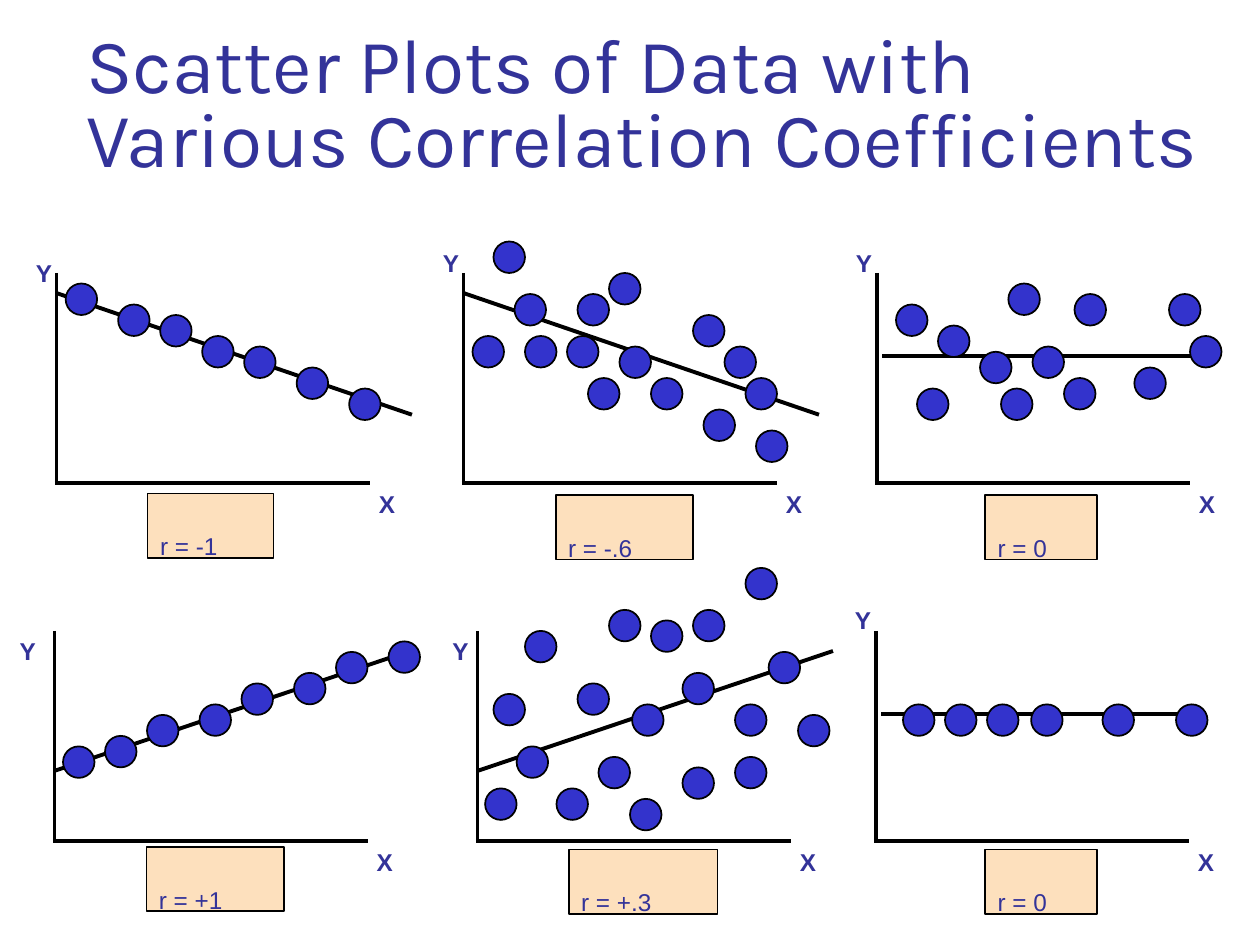
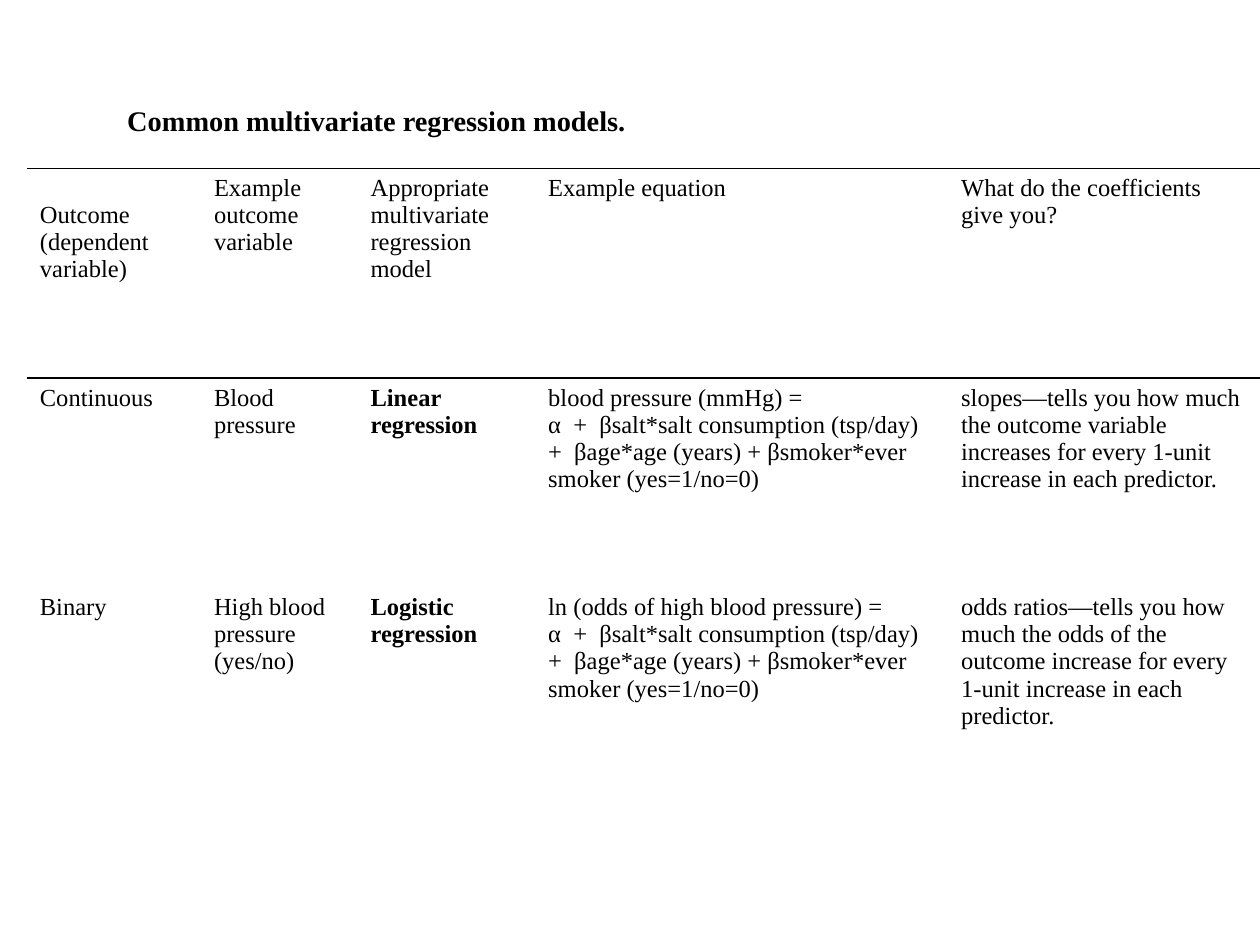
from pptx import Presentation
from pptx import util as u
from pptx.dml.color import RGBColor
from pptx.enum import shapes, text
from pptx.oxml.ns import qn
from lxml import etree

Pt = u.Pt
CELL = 6        # grid step for the dots
AXIS_H = 120
AXIS_W = 180
PLAIN_TABLE = "{2D5ABB26-0587-4C30-8999-92F81FD0307C}"


def color(value):
    return RGBColor.from_string(value)


class Deck:
    INK, NAVY, DOT, PEACH = "000000", "333399", "3333CC", "FDE0BD"
    SANS, SERIF, DISPLAY = "Arial", "Times New Roman", "Karla"

    def __init__(self):
        self.prs = Presentation()
        self.prs.slide_width, self.prs.slide_height = Pt(720), Pt(540)
        self.s = None

    def new_slide(self):
        self.s = self.prs.slides.add_slide(self.prs.slide_layouts[5])

    def style_text(self, tf, size, font, ink, bold=False, lowered=False):
        for p in tf.paragraphs:
            p.alignment = text.PP_ALIGN.LEFT
            for r in p.runs:
                r.font.size, r.font.name, r.font.bold = Pt(size), font, bold
                r.font.color.rgb = color(ink)
                if lowered:
                    r.font._element.set("baseline", "-33000")

    def title(self, words, box, anchor, **style):
        sp = self.s.shapes.title
        sp.left, sp.top, sp.width, sp.height = map(Pt, box)
        tf = sp.text_frame
        tf.text = words
        tf.auto_size = text.MSO_AUTO_SIZE.NONE
        tf.vertical_anchor = anchor
        self.style_text(tf, **style)
        return tf

    def line(self, x1, y1, x2, y2, width=2):
        c = self.s.shapes.add_connector(shapes.MSO_CONNECTOR.STRAIGHT,
                                        Pt(x1), Pt(y1), Pt(x2), Pt(y2))
        c.line.color.rgb = color(self.INK)
        c.line.width = Pt(width)
        etree.SubElement(c._element.spPr, qn("a:effectLst"))

    def shape(self, kind, x, y, w, h, fill):
        sp = self.s.shapes.add_shape(kind, Pt(x), Pt(y), Pt(w), Pt(h))
        sp.shadow.inherit = False
        sp.fill.solid()
        sp.fill.fore_color.rgb = color(fill)
        sp.line.color.rgb = color(self.INK)
        sp.line.width = Pt(1)
        return sp

    def dot(self, x, y):
        self.shape(shapes.MSO_SHAPE.OVAL, x, y, 18, 18, self.DOT)

    def label(self, sp, words, bold=False):
        tf = sp.text_frame
        tf.text = words
        tf.word_wrap = False
        tf.vertical_anchor = text.MSO_ANCHOR.TOP
        self.style_text(tf, 24, self.SANS, self.NAVY, bold, lowered=True)

    def axis_label(self, words, x, y):
        self.label(self.s.shapes.add_textbox(Pt(x), Pt(y), Pt(30), Pt(36)), words, bold=True)

    def value_box(self, words, x, y, w):
        self.label(self.shape(shapes.MSO_SHAPE.RECTANGLE, x, y, w, 36.7, self.PEACH), words)

    def plot(self, x, y, trend, y_label, box, dots_x, dots):
        # Axes and trend line
        self.line(x, y, x, y + AXIS_H)
        self.line(x - 1, y + AXIS_H, x - 1 + AXIS_W, y + AXIS_H)
        x1, y1, x2, y2, width = trend
        self.line(x + x1, y + y1, x + x2, y + y2, width)
        # Data, labels and coefficient
        for col, row in dots:
            self.dot(dots_x + col * CELL, y + row * CELL)
        self.axis_label("Y", x + y_label[0], y + y_label[1])
        self.axis_label("X", x + 177, y + 102)
        words, dx, dy, w = box
        self.value_box(words, x + dx, y + dy, w)

    def borders(self, cell, top, bottom):
        tcPr = cell._tc.get_or_add_tcPr()
        for i, (side, shown) in enumerate((("L", False), ("R", False), ("T", top), ("B", bottom))):
            ln = etree.Element(qn("a:ln" + side), w=str(Pt(1)))
            if shown:
                fill = etree.SubElement(ln, qn("a:solidFill"))
                etree.SubElement(fill, qn("a:srgbClr"), val=self.INK)
            else:
                etree.SubElement(ln, qn("a:noFill"))
            tcPr.insert(i, ln)

    def table(self, x, y, widths, heights, rows):
        frame = self.s.shapes.add_table(len(rows), len(widths), Pt(x), Pt(y),
                                        Pt(sum(widths)), Pt(sum(heights)))
        t = frame.table
        t.first_row = t.horz_banding = False
        t._tbl.tblPr.find(qn("a:tableStyleId")).text = PLAIN_TABLE
        for column, w in zip(t.columns, widths):
            column.width = Pt(w)
        for i, (h, row) in enumerate(zip(heights, rows)):
            t.rows[i].height = Pt(h)
            for j, words in enumerate(row):
                cell = t.cell(i, j)
                cell.text_frame.text = words
                self.style_text(cell.text_frame, 14, self.SERIF, self.INK, bold=i > 0 and j == 2)
                cell.fill.background()
                self.borders(cell, top=i < 2, bottom=i == 0)
        return t


FALLING = (0, 11.5, 203, 81, 2.25)
RISING = (0, 80, 203, 11.5, 2.25)
FLAT = (3, 47.5, 183, 47.5, 2)
TOP_ROW, BOTTOM_ROW = 156, 360.5

# axis x, axis top, trend, Y label offset, (coefficient, dx, dy, width), dots left, dots
PLOTS = [
    (32.4, TOP_ROW, FALLING, (-19, -30), ("r = -1", 52, 126, 72), 37.5,
     [(0, 1), (5, 3), (9, 4), (13, 6), (17, 7), (22, 9), (27, 11)]),
    (265, TOP_ROW, FALLING, (-19, -36), ("r = -.6", 52.5, 127, 78.5), 270,
     [(0, 6), (2, -3), (4, 2), (5, 6), (9, 6), (10, 2), (11, 10), (13, 0), (14, 7),
      (17, 10), (21, 4), (22, 13), (24, 7), (26, 10), (27, 15)]),
    (501, TOP_ROW, FLAT, (-19, -36), ("r = 0", 62, 127, 64), 512,
     [(0, 3), (2, 11), (4, 5), (8, 7.5), (10, 11), (10.7, 1), (13, 7), (16, 10),
      (17, 2), (22.7, 9), (26, 2), (28, 6)]),
    (31.2, BOTTOM_ROW, RISING, (-27, -18.5), ("r = +1", 52.5, 123.5, 78.5), 36,
     [(0, 11), (4, 10), (8, 8), (13, 7), (17, 5), (22, 4), (26, 2), (31, 1)]),
    (273, BOTTOM_ROW, RISING, (-21.5, -18.5), ("r = +.3", 52, 125, 85), 270,
     [(1.2, 15), (2, 6), (4.2, 11), (5, 0), (8, 15), (10, 5), (12, 12), (13, -2),
      (15, 16), (15.2, 7), (17, -1), (20, 4), (20, 13), (21, -2), (25, 7), (25, 12),
      (26, -6), (28.2, 2), (31, 8)]),
    (500.5, BOTTOM_ROW, FLAT, (-19, -36.5), ("r = 0", 62.5, 125, 64), 516,
     [(col, 7) for col in (0, 4, 8, 12.2, 19, 26)]),
]

PREDICTORS = ("α  +  βsalt*salt consumption (tsp/day) +  βage*age (years) + "
              "βsmoker*ever smoker (yes=1/no=0)")
MODELS = [
    ["Outcome (dependent variable)", "Example outcome variable",
     "Appropriate multivariate regression model", "Example equation",
     "What do the coefficients give you?"],
    ["Continuous", "Blood pressure", "Linear regression",
     "blood pressure (mmHg) =\n" + PREDICTORS,
     "slopes—tells you how much the outcome variable increases for every "
     "1-unit increase in each predictor."],
    ["Binary", "High blood pressure (yes/no)", "Logistic regression",
     "ln (odds of high blood pressure) =\n" + PREDICTORS,
     "odds ratios—tells you how much the odds of the outcome increase for every "
     "1-unit increase in each predictor."],
]


def main():
    deck = Deck()

    # Slide 1: scatter plots
    deck.new_slide()
    tf = deck.title("Scatter Plots of Data with Various Correlation Coefficients",
                    (42, 18, 662, 90), text.MSO_ANCHOR.BOTTOM,
                    size=44, font=deck.DISPLAY, ink=deck.NAVY)
    tf.paragraphs[0].line_spacing = 0.8
    for plot in PLOTS:
        deck.plot(*plot)

    # Slide 2: regression models
    deck.new_slide()
    deck.title("Common multivariate regression models.", (65.5, 37.5, 512, 41),
               text.MSO_ANCHOR.MIDDLE, size=28, font=deck.SERIF, ink=deck.INK,
               bold=True, lowered=True)
    t = deck.table(15.6, 96.2, [99.5, 89.5, 101.5, 236, 178], [119.8, 119.8, 138.4], MODELS)
    t.cell(0, 0).margin_top = Pt(19)    # first heading sits one line lower

    deck.prs.save("out.pptx")


if __name__ == "__main__":
    main()
